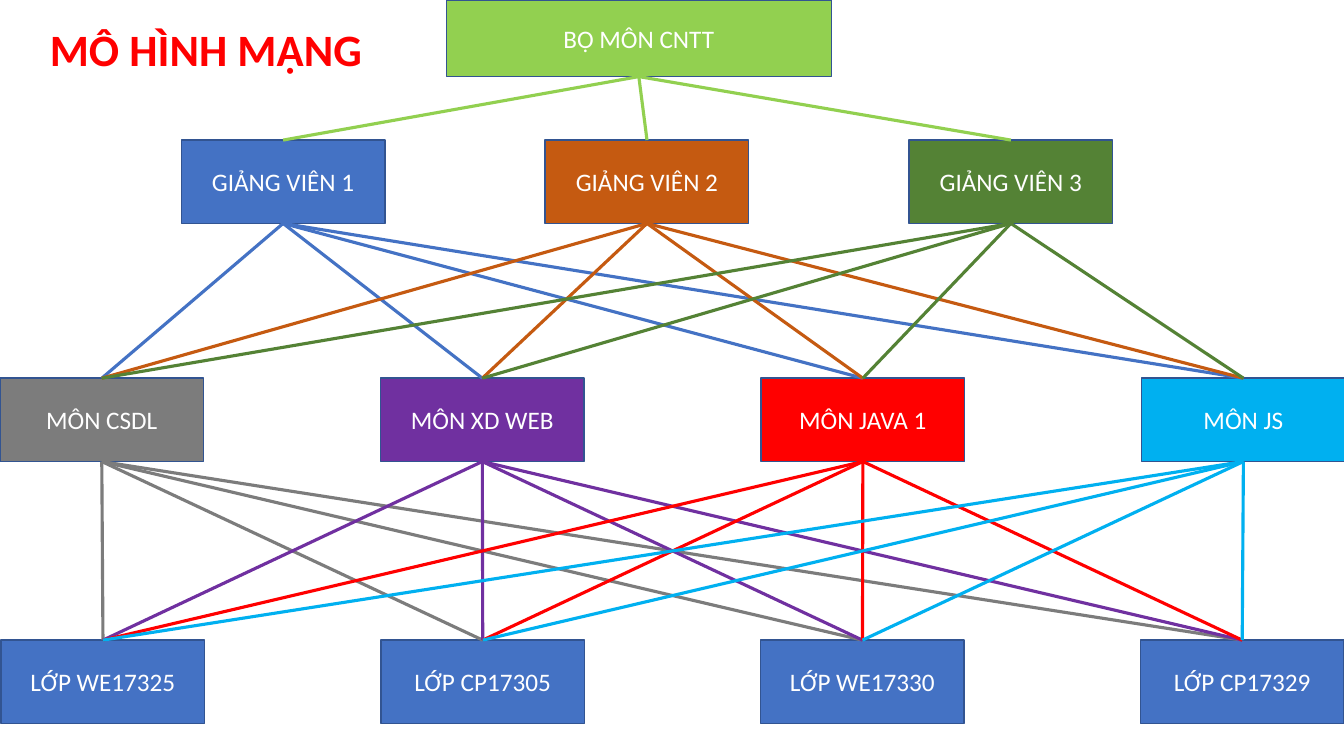
from pptx import Presentation
from pptx.dml.color import RGBColor
from pptx.enum.shapes import MSO_CONNECTOR, MSO_SHAPE
from pptx.enum.text import MSO_ANCHOR, PP_ALIGN
from pptx.oxml.ns import qn
from pptx.util import Cm, Pt
from lxml.etree import SubElement

BOX_WIDTH, BOX_HEIGHT = 5.13, 2.1
BOTTOM_SITE, TOP_SITE = 2, 0
BLUE = "4472C4"

DEPARTMENT = ("BỘ MÔN CNTT", "92D050")
LECTURERS = [("GIẢNG VIÊN 1", BLUE), ("GIẢNG VIÊN 2", "C55A11"), ("GIẢNG VIÊN 3", "548235")]
SUBJECTS = [("MÔN CSDL", "7C7C7C"), ("MÔN XD WEB", "7030A0"),
            ("MÔN JAVA 1", "FF0000"), ("MÔN JS", "00B0F0")]
CLASSES = [(f"LỚP {code}", BLUE) for code in ("WE17325", "CP17305", "WE17330", "CP17329")]


def color(value):
    return RGBColor.from_string(value)


def format_text(text_frame, text, size, font_color, alignment, bold=False):
    text_frame.text = text
    text_frame.word_wrap = True
    paragraph = text_frame.paragraphs[0]
    paragraph.alignment = alignment
    font = paragraph.runs[0].font
    font.name = "Calibri"
    font.size = Pt(size)
    font.bold = bold
    font.color.rgb = color(font_color)


def add_title(slide, text):
    title = slide.shapes.title
    title.left, title.top, title.width, title.height = Cm(1), Cm(0.43), Cm(9.85), Cm(1.63)
    title.text_frame.vertical_anchor = MSO_ANCHOR.TOP
    format_text(title.text_frame, text, 32, "FF0000", PP_ALIGN.LEFT, bold=True)


def add_box(slide, text, fill, left, top, width=BOX_WIDTH, height=BOX_HEIGHT):
    box = slide.shapes.add_shape(MSO_SHAPE.RECTANGLE, Cm(left), Cm(top), Cm(width), Cm(height))
    box.shadow.inherit = False
    box.fill.solid()
    box.fill.fore_color.rgb = color(fill)
    box.line.color.rgb = color("325491")
    box.line.width = Pt(1)
    box.text_frame.vertical_anchor = MSO_ANCHOR.MIDDLE
    format_text(box.text_frame, text, 18, "FFFFFF", PP_ALIGN.CENTER)
    return box


def add_row(slide, items, left, top, pitch):
    return [add_box(slide, text, fill, left + index * pitch, top)
            for index, (text, fill) in enumerate(items)]


def link_rows(slide, parents, children):
    for parent in parents:
        for child in children:
            connector = slide.shapes.add_connector(MSO_CONNECTOR.STRAIGHT, 0, 0, 0, 0)
            connector.begin_connect(parent, BOTTOM_SITE)
            connector.end_connect(child, TOP_SITE)
            connector.line.color.rgb = parent.fill.fore_color.rgb
            connector.line.width = Pt(2.25)
            SubElement(connector._element.spPr, qn("a:effectLst"))


def main():
    presentation = Presentation()
    presentation.slide_width, presentation.slide_height = Cm(33.87), Cm(19.05)
    slide = presentation.slides.add_slide(presentation.slide_layouts[5])

    add_title(slide, "MÔ HÌNH MẠNG")
    lecturers = add_row(slide, LECTURERS, left=4.57, top=3.53, pitch=9.17)
    subjects = add_row(slide, SUBJECTS, left=0, top=9.53, pitch=9.59)
    classes = add_row(slide, CLASSES, left=0.03, top=16.13, pitch=9.57)
    link_rows(slide, lecturers, subjects)
    link_rows(slide, subjects, classes)
    department = add_box(slide, *DEPARTMENT, left=11.25, top=0, width=9.7, height=1.93)
    link_rows(slide, [department], lecturers)

    presentation.save("out.pptx")


main()
